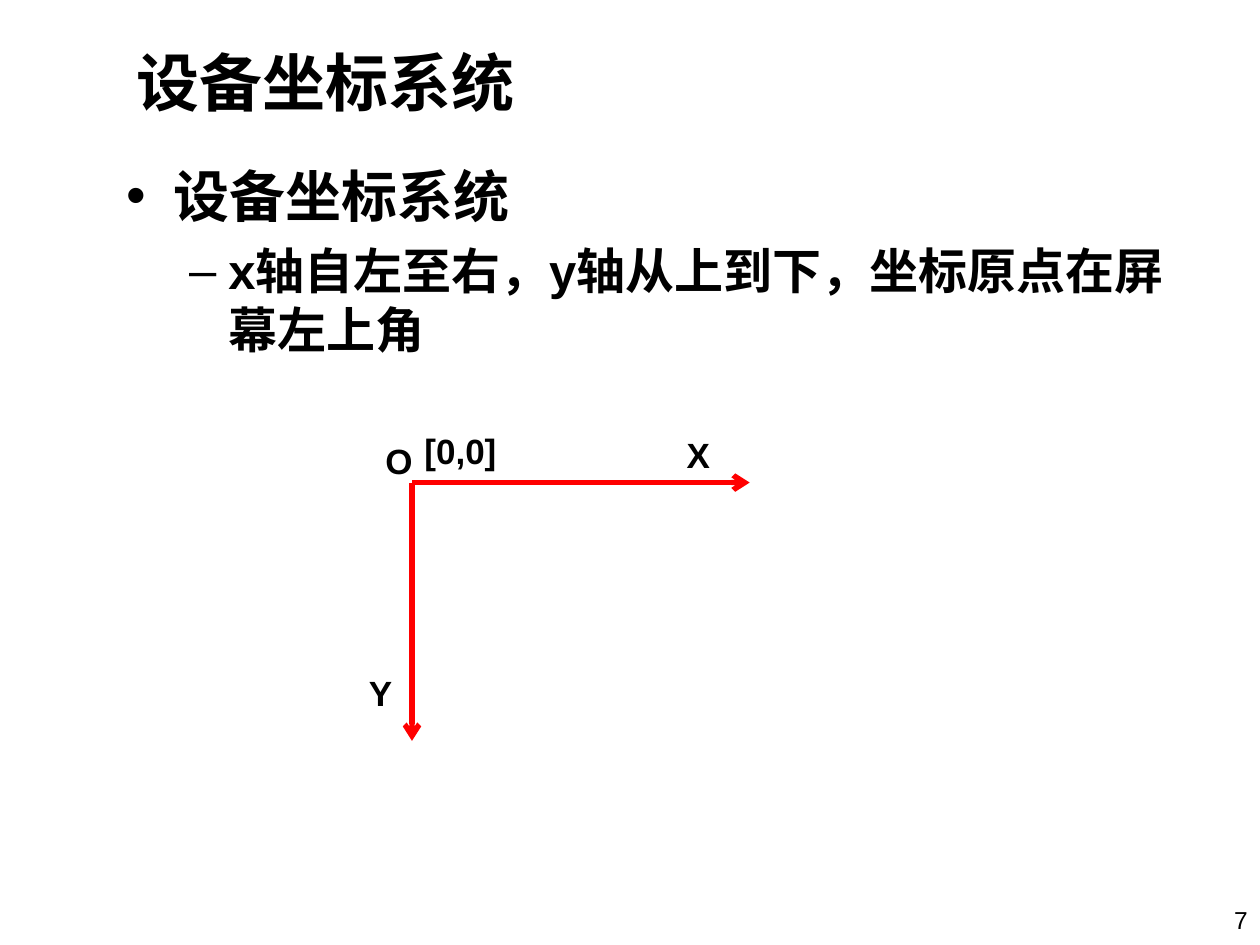
from typing import NamedTuple

from lxml.etree import SubElement
from pptx import Presentation
from pptx.dml.color import RGBColor
from pptx.enum.shapes import MSO_CONNECTOR
from pptx.enum.text import MSO_ANCHOR, MSO_AUTO_SIZE, PP_ALIGN
from pptx.oxml.ns import qn
from pptx.util import Inches, Pt

COLORS = {"text": "000000", "axis": "FF0000"}
FONT = "Arial"
SLIDE_WIDTH, SLIDE_HEIGHT = 10, 7.5
ORIGIN = (3.27, 3.83)


class Area(NamedTuple):
    left: float
    top: float
    width: float
    height: float


class Label(NamedTuple):
    text: str
    area: Area


class BodyItem(NamedTuple):
    text: str
    level: int
    size: int
    space_before: int


AXIS_ENDS = [(5.95, ORIGIN[1]), (ORIGIN[0], 5.88)]
LABELS = [
    Label("[0,0]", Area(3.27, 3.36, 0.77, 0.44)),
    Label("X", Area(5.35, 3.39, 0.38, 0.44)),
    Label("Y", Area(2.83, 5.28, 0.38, 0.44)),
    Label("O", Area(2.96, 3.44, 0.41, 0.44)),
]
BODY_ITEMS = [
    BodyItem("设备坐标系统", 0, 32, 0),
    BodyItem("x轴自左至右，y轴从上到下，坐标原点在屏幕左上角", 1, 28, 7),
]


def place(shape, area: Area) -> None:
    shape.left, shape.top, shape.width, shape.height = map(Inches, area)


def write(paragraph, text: str, size: int, bold: bool = True,
          align: PP_ALIGN = PP_ALIGN.LEFT) -> None:
    paragraph.text = text
    paragraph.alignment = align
    font = paragraph.font
    font.name, font.size, font.bold = FONT, Pt(size), bold
    font.color.rgb = RGBColor.from_string(COLORS["text"])


def add_title(slide) -> None:
    title = slide.shapes.title
    place(title, Area(0.98, 0.21, 5.83, 0.87))
    title.text_frame.vertical_anchor = MSO_ANCHOR.MIDDLE
    write(title.text_frame.paragraphs[0], "设备坐标系统", 36)


def add_body(slide) -> None:
    """Fill the body; bullets and indents come from the template's levels."""
    body = slide.placeholders[1]
    place(body, Area(0.9, 1.23, 8.66, 5.75))
    frame = body.text_frame
    for index, item in enumerate(BODY_ITEMS):
        paragraph = frame.add_paragraph() if index else frame.paragraphs[0]
        paragraph.level = item.level
        paragraph.space_before = Pt(item.space_before)
        write(paragraph, item.text, item.size)


def add_axis(slide, end: tuple[float, float]) -> None:
    axis = slide.shapes.add_connector(
        MSO_CONNECTOR.STRAIGHT, *map(Inches, (*ORIGIN, *end)))
    axis.line.color.rgb = RGBColor.from_string(COLORS["axis"])
    axis.line.width = Pt(3)
    properties = axis.element.spPr
    SubElement(properties.find(qn("a:ln")), qn("a:tailEnd"), type="arrow")
    SubElement(properties, qn("a:effectLst"))


def add_label(slide, label: Label) -> None:
    box = slide.shapes.add_textbox(*map(Inches, label.area))
    box.text_frame.word_wrap = False
    box.text_frame.auto_size = MSO_AUTO_SIZE.SHAPE_TO_FIT_TEXT
    write(box.text_frame.paragraphs[0], label.text, 20)


def add_page_number(slide, number: int) -> None:
    width, height = 1.61, 0.37
    area = Area(SLIDE_WIDTH - width, SLIDE_HEIGHT - height, width, height)
    box = slide.shapes.add_textbox(*map(Inches, area))
    box.text_frame.word_wrap = True
    write(box.text_frame.paragraphs[0], str(number), 14, False, PP_ALIGN.RIGHT)


def main() -> None:
    deck = Presentation()
    deck.slide_width, deck.slide_height = Inches(SLIDE_WIDTH), Inches(SLIDE_HEIGHT)
    slide = deck.slides.add_slide(deck.slide_layouts[1])
    add_title(slide)
    add_body(slide)
    for end in AXIS_ENDS:
        add_axis(slide, end)
    for label in LABELS:
        add_label(slide, label)
    add_page_number(slide, 7)
    deck.save("out.pptx")


if __name__ == "__main__":
    main()
